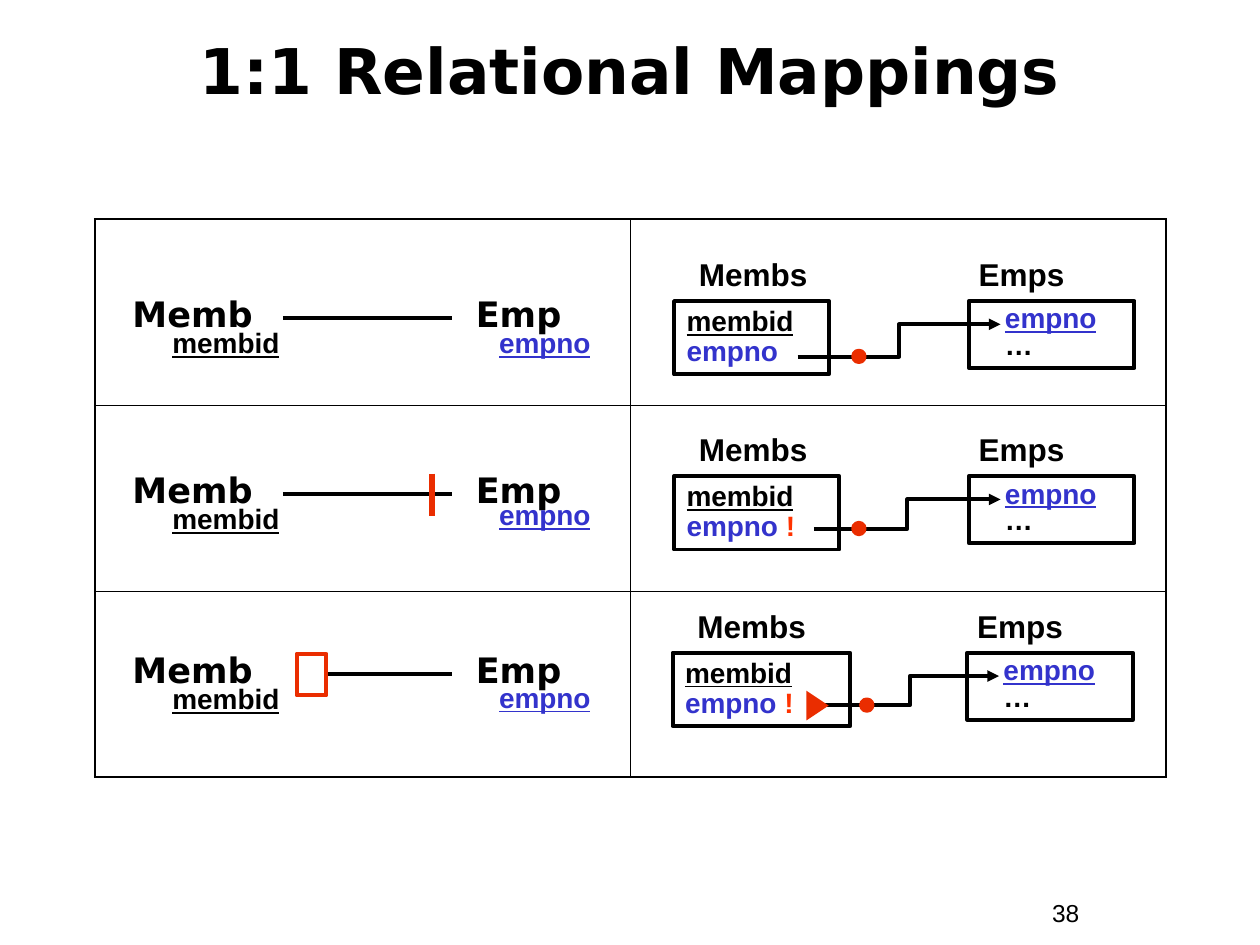
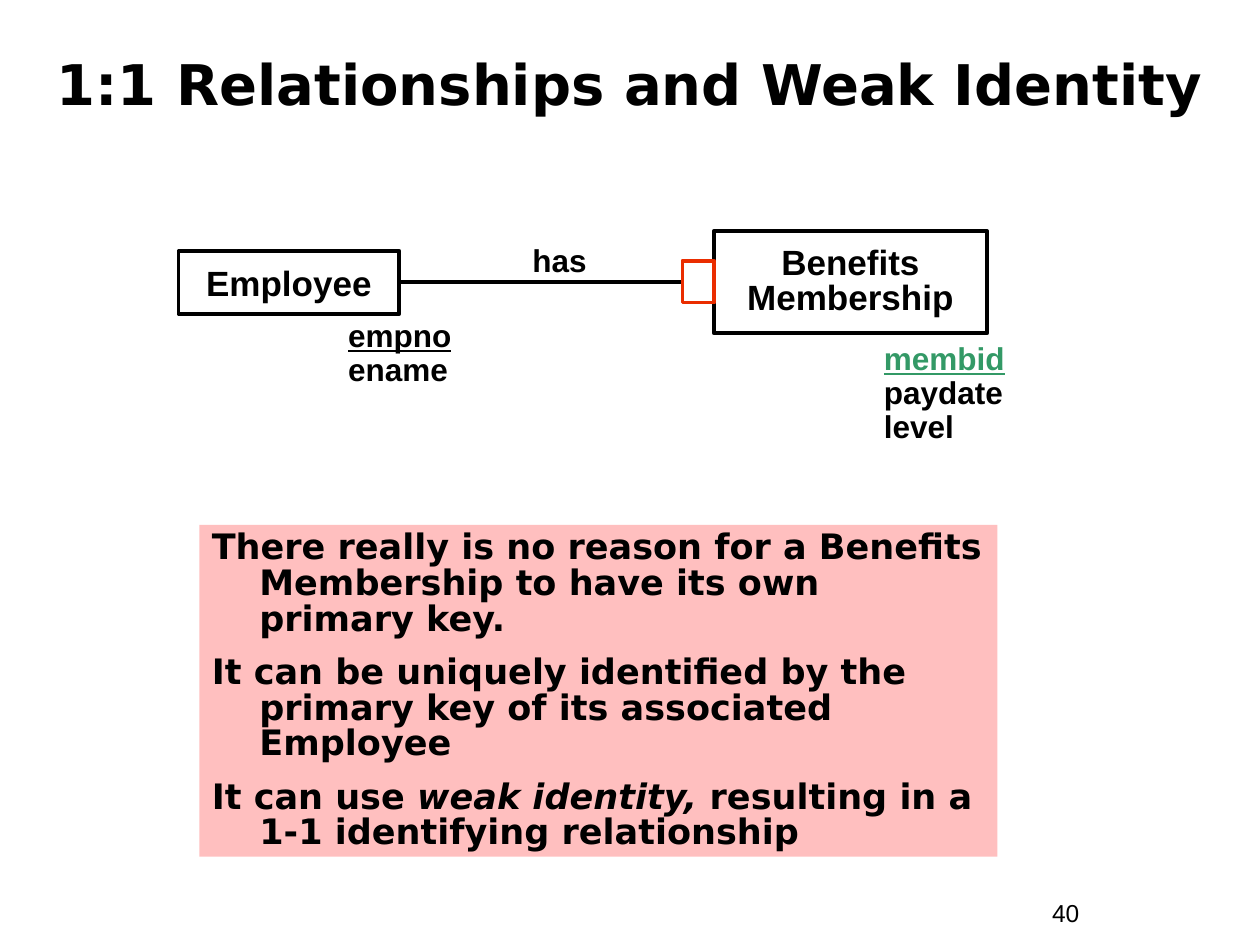
"""Build two slides on one-to-one relational mappings."""
import pptx
import pptx.util
import pptx.oxml
import pptx.oxml.ns
import pptx.dml.color
import pptx.enum.shapes
import pptx.enum.text
from lxml import etree

Cm = pptx.util.Cm
Pt = pptx.util.Pt
KIND = pptx.enum.shapes.MSO_SHAPE
LINK = pptx.enum.shapes.MSO_CONNECTOR
ALIGN = pptx.enum.text.PP_ALIGN
EDGE = pptx.enum.text.MSO_ANCHOR
qn = pptx.oxml.ns.qn

INK = {
    "black": "000000",
    "blue": "3333CC",
    "red": "EA2D00",
    "mark": "FF3300",
    "green": "339966",
    "pink": "FFBFBF",
}
HEAD, BODY = "DejaVu Sans", "Arial"
HANG = 0.96


class Deck:
    def __init__(self):
        self.show = pptx.Presentation()
        self.show.slide_width = Cm(25.4)
        self.show.slide_height = Cm(19.05)
        self.page = None

    def ink(self, name):
        return pptx.dml.color.RGBColor.from_string(INK[name])

    def start(self, title, top, size, number, gap=1.0):
        self.page = self.show.slides.add_slide(self.show.slide_layouts[6])
        self.text((20.96, 17.98, 2.34, 0.86), [number], 14, bold=False)
        self.text((0.85, top, 23.7, 2.34), [title], size, HEAD, gap=gap,
                  align=ALIGN.CENTER, edge=EDGE.MIDDLE)

    def text(self, box, lines, size, font=BODY, **look):
        shape = self.page.shapes.add_textbox(*map(Cm, box))
        self.label(shape, lines, size, font, **look)

    def label(self, shape, lines, size, font=BODY, bold=True, gap=1.0, space=0,
              align=ALIGN.LEFT, edge=EDGE.TOP, left=0, hang=0, wrap=True):
        frame = shape.text_frame
        frame.word_wrap = wrap
        frame.vertical_anchor = edge
        frame.margin_left = frame.margin_right = Cm(0.25)
        frame.margin_top = frame.margin_bottom = Cm(0.13)
        for place, line in enumerate(lines):
            para = frame.add_paragraph() if place else frame.paragraphs[0]
            para.alignment = align
            para.line_spacing = gap
            para.space_before = Pt(space if place else 0)
            props = para._p.get_or_add_pPr()
            props.set("marL", str(Cm(left)))
            props.set("indent", str(Cm(-hang)))
            for part in line if isinstance(line, list) else [line]:
                self.add_part(para, part, size, font, bold)

    def add_part(self, para, part, size, font, bold):
        words, tone, style = (part, "black", "") if isinstance(part, str) else part
        if para.runs:
            runs = [para.add_run()]
            runs[0].text = words
        else:
            para.text = words
            runs = para.runs
        for run in runs:
            run.font.name = font
            run.font.size = Pt(size)
            run.font.bold = bold
            run.font.underline = style == "under"
            run.font.italic = style == "slant"
            run.font.color.rgb = self.ink(tone)

    def shape(self, kind, box, fill=None, line=None, turn=0):
        shape = self.page.shapes.add_shape(kind, *map(Cm, box))
        shape.shadow.inherit = False
        shape.rotation = turn
        if fill:
            shape.fill.solid()
            shape.fill.fore_color.rgb = self.ink(fill)
        else:
            shape.fill.background()
        if line:
            shape.line.color.rgb = self.ink(line)
            shape.line.width = Pt(2.25)
        else:
            shape.line.fill.background()
        return shape

    def box(self, box, lines, size, **look):
        shape = self.shape(KIND.RECTANGLE, box, line="black")
        self.label(shape, lines, size, **look)

    def link(self, start, end, tone="black", width=2.25, kind=LINK.STRAIGHT, arrow=False):
        wire = self.page.shapes.add_connector(kind, *map(Cm, start + end))
        wire.line.color.rgb = self.ink(tone)
        wire.line.width = Pt(width)
        if arrow:
            line = wire._element.spPr.find(qn("a:ln"))
            etree.SubElement(line, qn("a:tailEnd"), type="triangle")
        etree.SubElement(wire._element.spPr, qn("a:effectLst"))

    def grid(self, box, rows, cols):
        table = self.page.shapes.add_table(rows, cols, *map(Cm, box)).table
        table.first_row = table.horz_banding = False
        for row in range(rows):
            for col in range(cols):
                cell = table.cell(row, col)
                cell.fill.background()
                outer = {"L": col == 0, "R": col == cols - 1,
                         "T": row == 0, "B": row == rows - 1}
                self.frame(cell, outer)

    def frame(self, cell, outer):
        props = cell._tc.get_or_add_tcPr()
        for place, (side, edge) in enumerate(outer.items()):
            line = etree.Element(qn("a:ln" + side), w=str(Pt(1.08 if edge else 0.45)))
            fill = etree.SubElement(line, qn("a:solidFill"))
            etree.SubElement(fill, qn("a:srgbClr"), val=INK["black"])
            props.insert(place, line)

    def pair(self, mid, drop, start):
        look = dict(gap=0.85, align=ALIGN.CENTER, left=HANG, hang=HANG)
        self.link((start, mid), (9.12, mid))
        self.text((2.26, mid - 0.51, 3.25, 0.99), ["Memb"], 20, HEAD, **look)
        self.text((8.97, mid - 0.51, 2.97, 0.99), ["Emp"], 20, HEAD, **look)
        self.text((3.07, mid + 0.13, 2.97, 0.84), [("membid", "black", "under")], 16, **look)
        self.text((9.5, mid + drop, 2.97, 0.84), [("empno", "blue", "under")], 16, **look)

    def tables(self, top, left, width, start, dot, drop, must):
        right = left + 5.94
        key = [("empno", "blue", "")]
        if must:
            key = [("empno ", "blue", ""), ("!", "mark", "")]
        self.text((left + 0.25, top - 0.91, 2.97, 0.86), ["Membs"], 18, gap=0.8)
        self.box((left, top, width, 1.48), [("membid", "black", "under"), key], 16, gap=0.9)
        self.text((right - 0.05, top - 0.91, 3.33, 0.86), ["Emps"], 18, gap=0.8)
        self.box((right, top, 3.34, 1.35), [("empno", "blue", "under"), "…"], 16,
                 gap=0.8, left=0.48)
        self.link((start, top + drop), (right + 0.64, top + 0.47),
                  kind=LINK.ELBOW, arrow=True)
        self.shape(KIND.OVAL, (dot, top + drop - 0.12, 0.23, 0.23), "red", "red")


def show_maps(deck):
    deck.start("1:1 Relational Mappings", 0.23, 36, "38")
    deck.grid((1.91, 4.42, 21.59, 11.25), 3, 2)
    for mid, drop, start in [(6.41, 0.13, 5.7), (9.96, 0.05, 5.7), (13.59, 0.1, 6.58)]:
        deck.pair(mid, drop, start)
    deck.link((8.71, 9.55), (8.71, 10.4), "red", 3)
    deck.shape(KIND.RECTANGLE, (5.98, 13.18, 0.6, 0.84), line="red")
    deck.tables(6.07, 13.59, 3.12, 16.08, 17.2, 1.12, False)
    deck.tables(9.6, 13.59, 3.33, 16.41, 17.2, 1.06, True)
    deck.tables(13.16, 13.56, 3.58, 16.54, 17.36, 1.06, True)
    deck.shape(KIND.ISOSCELES_TRIANGLE, (16.18, 14.0, 0.6, 0.45), "red", turn=90)


def show_weak(deck):
    deck.start("1:1 Relationships and Weak Identity", 0.64, 32, "40", 0.8)
    note = deck.shape(KIND.RECTANGLE, (4.02, 10.58, 16.09, 6.69), "pink")
    deck.label(note, [
        "There really is no reason for a Benefits Membership to have its own primary key.",
        "It can be uniquely identified by the primary key of its associated Employee",
        ["It can use ", ("weak identity, ", "black", "slant"),
         "resulting in a 1-1 identifying relationship"],
    ], 20, HEAD, gap=0.85, space=10, left=HANG, hang=HANG)
    look = dict(align=ALIGN.CENTER, edge=EDGE.MIDDLE, wrap=False)
    deck.box((3.6, 5.06, 4.45, 1.27), ["Employee"], 20, **look)
    deck.box((14.39, 4.66, 5.51, 2.06), ["Benefits\vMembership"], 20, gap=0.85, **look)
    deck.link((8.07, 5.69), (13.73, 5.69))
    deck.text((8.89, 4.72, 4.78, 1.02), ["has"], 18, align=ALIGN.CENTER)
    deck.text((6.77, 6.33, 2.97, 1.63), [("empno", "black", "under"), "ename"], 18, gap=0.9)
    deck.text((17.57, 6.79, 2.97, 2.31),
              [("membid", "green", "under"), "paydate", "level"], 18, gap=0.9)
    deck.shape(KIND.RECTANGLE, (13.76, 5.26, 0.64, 0.84), line="red")


def main():
    deck = Deck()
    show_maps(deck)
    show_weak(deck)
    deck.show.save("out.pptx")


if __name__ == "__main__":
    main()
